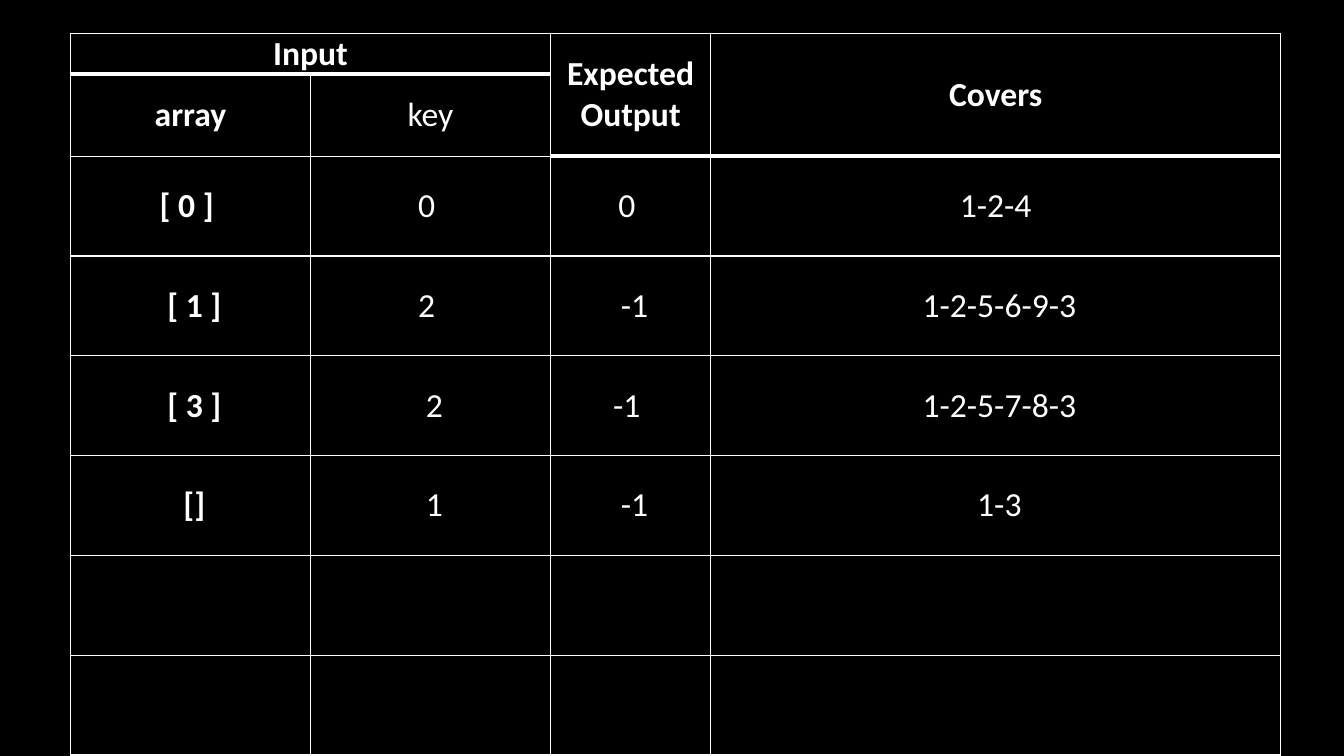
from lxml import etree
from pptx import Presentation
from pptx.dml.color import RGBColor
from pptx.enum.text import MSO_ANCHOR, PP_ALIGN
from pptx.oxml.ns import qn
from pptx.util import Inches, Pt

# Content: None marks a cell covered by a merged neighbour
ROWS = [
    ["Input", None, "Expected Output", "Covers"],
    ["array", "key", None, None],
    ["[ 0 ] ", "0 ", "0 ", "1-2-4"],
    [" [ 1 ]", "2 ", " -1", " 1-2-5-6-9-3"],
    [" [ 3 ]", " 2", "-1 ", " 1-2-5-7-8-3"],
    [" []", " 1", " -1", " 1-3"],
    ["", "", "", ""],
    ["", "", "", ""],
]
MERGES = [((0, 0), (0, 1)), ((0, 2), (1, 2)), ((0, 3), (1, 3))]
HEADER_ROWS = 2
COLUMN_WIDTHS = [2.38, 2.38, 1.59, 5.65]
ROW_HEIGHTS = [0.38] * HEADER_ROWS + [0.99] * (len(ROWS) - HEADER_ROWS)

# Style
BLACK = RGBColor(0x00, 0x00, 0x00)
WHITE = RGBColor(0xFF, 0xFF, 0xFF)
FONT = "Calibri"
FONT_SIZE = Pt(24)
THIN, THICK = Pt(1), Pt(3)
CENTER = PP_ALIGN.CENTER
MIDDLE = MSO_ANCHOR.MIDDLE


def set_borders(cell, top, bottom):
    """Draw white borders, thin at the sides."""
    properties = cell._tc.get_or_add_tcPr()
    widths = [("a:lnL", THIN), ("a:lnR", THIN), ("a:lnT", top), ("a:lnB", bottom)]
    for position, (tag, width) in enumerate(widths):
        line = etree.Element(qn(tag), w=str(width))
        fill = etree.SubElement(line, qn("a:solidFill"))
        etree.SubElement(fill, qn("a:srgbClr"), val=str(WHITE))
        properties.insert(position, line)


def write_text(cell, text, bold):
    paragraph = cell.text_frame.paragraphs[0]
    paragraph.alignment = CENTER
    run = paragraph.add_run()
    run.text = text
    run.font.name = FONT
    run.font.size = FONT_SIZE
    run.font.bold = bold
    run.font.color.rgb = WHITE


def main():
    presentation = Presentation()
    presentation.slide_width = Inches(13.33)
    presentation.slide_height = Inches(7.5)
    slide = presentation.slides.add_slide(presentation.slide_layouts[6])
    slide.background.fill.solid()
    slide.background.fill.fore_color.rgb = BLACK

    # Table grid
    table = slide.shapes.add_table(
        len(ROWS), len(COLUMN_WIDTHS), Inches(0.7), Inches(0.33),
        Inches(sum(COLUMN_WIDTHS)), Inches(sum(ROW_HEIGHTS))).table
    table.first_row = False
    table.horz_banding = False
    for column, width in zip(table.columns, COLUMN_WIDTHS):
        column.width = Inches(width)
    for row, height in zip(table.rows, ROW_HEIGHTS):
        row.height = Inches(height)
    for start, end in MERGES:
        table.cell(*start).merge(table.cell(*end))

    # Cells: a thick rule closes "Input" and the two tall headings
    for row_index, texts in enumerate(ROWS):
        for column_index, text in enumerate(texts):
            cell = table.cell(row_index, column_index)
            rule_row = 1 if column_index < 2 else HEADER_ROWS
            cell.fill.background()
            set_borders(cell,
                        THICK if row_index == rule_row else THIN,
                        THICK if row_index < rule_row else THIN)
            cell.vertical_anchor = MIDDLE
            cell.margin_left = cell.margin_right = Inches(0.07)
            cell.margin_top = cell.margin_bottom = 0
            if text:
                write_text(cell, text, row_index == 0 or column_index == 0)

    presentation.save("out.pptx")


if __name__ == "__main__":
    main()
